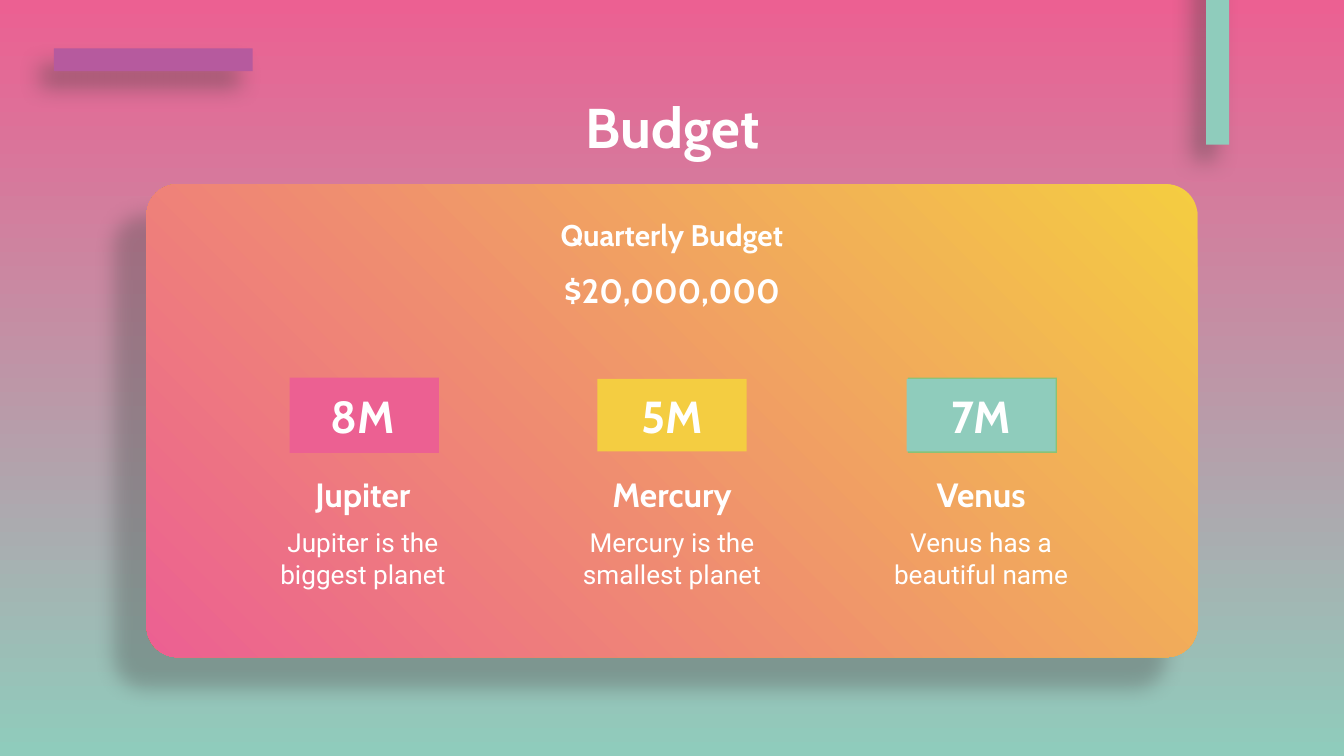
from lxml import etree
from pptx import Presentation
from pptx.dml.color import RGBColor
from pptx.enum.shapes import MSO_SHAPE
from pptx.enum.text import MSO_ANCHOR, PP_ALIGN
from pptx.oxml.ns import qn
from pptx.util import Inches, Pt

RECTANGLE = MSO_SHAPE.RECTANGLE
ROUNDED = MSO_SHAPE.ROUNDED_RECTANGLE
TOP, MIDDLE = MSO_ANCHOR.TOP, MSO_ANCHOR.MIDDLE
CENTER = PP_ALIGN.CENTER
HEADING_FONT, BODY_FONT = "Cabin", "Roboto"
COLORS = {
    "pink": "EC6092",
    "yellow": "F4CD41",
    "teal": "8FCCBC",
    "green": "89C276",
    "purple": "B65A9E",
    "white": "FFFFFF",
    "shadow": "434343",
}
PLANETS = [
    ("8M", "Jupiter", "Jupiter is the biggest planet", "pink", None),
    ("5M", "Mercury", "Mercury is the smallest planet", None, "yellow"),
    ("7M", "Venus", "Venus has a beautiful name", "green", "teal"),
]


def rgb(name):
    """Return the named palette colour."""
    return RGBColor.from_string(COLORS[name])


def set_gradient(fill, first, last, clockwise_angle):
    """Apply a two-stop linear gradient."""
    fill.gradient()
    fill.gradient_angle = 360 - clockwise_angle
    for stop, name in zip(fill.gradient_stops, (first, last)):
        stop.color.rgb = rgb(name)


def add_shadow(shape, opacity, blur, distance, angle):
    """Give a shape a soft outer shadow."""
    effects = shape._element.spPr.find(qn("a:effectLst"))
    shadow = etree.SubElement(
        effects, qn("a:outerShdw"), blurRad=str(Pt(blur)), dist=str(Pt(distance)),
        dir=str(angle * 60000), algn="bl", rotWithShape="0")
    color = etree.SubElement(shadow, qn("a:srgbClr"), val=COLORS["shadow"])
    etree.SubElement(color, qn("a:alpha"), val=str(opacity * 1000))


def add_block(slide, box, color=None, kind=RECTANGLE):
    """Add a borderless shape, filled when a colour is given."""
    shape = slide.shapes.add_shape(kind, *map(Inches, box))
    shape.shadow.inherit = False
    shape.line.fill.background()
    if color:
        shape.fill.solid()
        shape.fill.fore_color.rgb = rgb(color)
    return shape


def write_text(shape, text, size, font=HEADING_FONT, anchor=TOP):
    """Write one centred white paragraph into a shape."""
    frame = shape.text_frame
    frame.word_wrap = True
    frame.vertical_anchor = anchor
    frame.margin_left = frame.margin_right = Inches(0.1)
    frame.margin_top = frame.margin_bottom = Inches(0.1)
    paragraph = frame.paragraphs[0]
    paragraph.alignment = CENTER
    run = paragraph.add_run()
    run.text = text
    run.font.size = Pt(size)
    run.font.name = font
    run.font.bold = font == HEADING_FONT
    run.font.color.rgb = rgb("white")


def add_text(slide, box, text, size, font=HEADING_FONT, anchor=TOP):
    """Add a text box with one paragraph."""
    write_text(slide.shapes.add_textbox(*map(Inches, box)), text, size, font, anchor)


def add_bar(slide, box, color, rotation=0):
    """Add a decorative bar with its shadow."""
    bar = add_block(slide, box, color)
    bar.rotation = rotation
    add_shadow(bar, 43, 12.4, 11.2, 129)


def add_card(slide, box):
    """Add the gradient card with the quarterly total at its top."""
    left, top, width, height = box
    card = add_block(slide, box, kind=ROUNDED)
    card.adjustments[0] = 0.066
    set_gradient(card.fill, "yellow", "pink", 135)
    add_shadow(card, 32, 11.2, 24, 135)
    center = left + width / 2
    add_text(slide, (center - 1.03, top + 0.58, 2.06, 0.41), "$20,000,000", 18, anchor=MIDDLE)
    add_text(slide, (center - 1.2, top + 0.12, 2.4, 0.51), "Quarterly Budget", 16, anchor=MIDDLE)


def add_planet(slide, box, amount, name, description, backing, face):
    """Add a budget column: badge, planet name and description."""
    left, top, width, height = box
    badge_width = 1.11
    badge_left = left + (width - badge_width) / 2
    if backing:
        add_block(slide, (badge_left + 0.01, top, badge_width, 0.56), backing)
    badge_box = (badge_left, top + 0.01, badge_width, 0.54)
    if face:
        write_text(add_block(slide, badge_box, face), amount, 24, anchor=MIDDLE)
    else:
        add_text(slide, badge_box, amount, 24, anchor=MIDDLE)
    add_text(slide, (left, top + 0.62, width, 0.37), name, 18)
    add_text(slide, (left, top + 1.01, width, height - 1.01), description, 14, BODY_FONT)


def build_slide(presentation):
    """Build the budget slide."""
    slide = presentation.slides.add_slide(presentation.slide_layouts[6])
    set_gradient(slide.background.fill, "pink", "teal", 90)
    add_card(slide, (1.09, 1.37, 7.82, 3.52))
    add_bar(slide, (0.4, 0.36, 1.48, 0.17), "purple")
    add_bar(slide, (8.32, 0.25, 1.48, 0.17), "teal", 270)
    add_text(slide, (0.79, 0.59, 8.43, 0.52), "Budget", 30)
    for index, planet in enumerate(PLANETS):
        add_planet(slide, (1.84 + 2.3 * index, 2.81, 1.72, 1.55), *planet)


def main():
    """Create and save the presentation."""
    presentation = Presentation()
    presentation.slide_width = Inches(10)
    presentation.slide_height = presentation.slide_width * 9 // 16
    build_slide(presentation)
    presentation.save("out.pptx")


if __name__ == "__main__":
    main()
